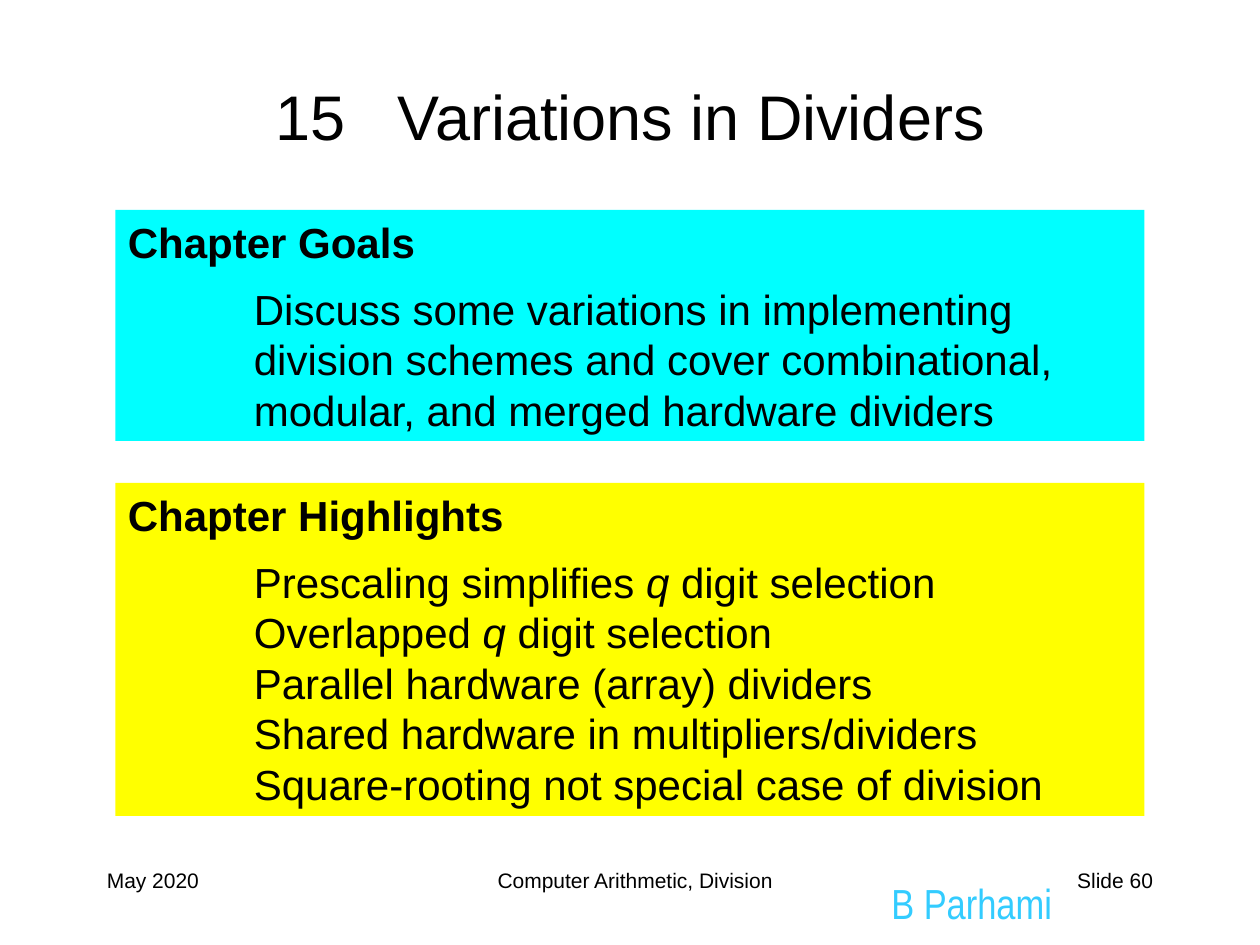
import pptx
import pptx.util
import pptx.dml.color
import pptx.enum.shapes
import pptx.enum.text

Pt = pptx.util.Pt
ALIGN = pptx.enum.text.PP_ALIGN
ANCHOR = pptx.enum.text.MSO_ANCHOR
INK = {"text": "000000", "name": "33CCFF", "goals": "00FFFF", "points": "FFFF00"}

deck = pptx.Presentation()
deck.slide_width = pptx.util.Inches(10)
deck.slide_height = pptx.util.Inches(7.5)
slide = deck.slides.add_slide(deck.slide_layouts[6])
UNIT = deck.slide_width // 120  # the grid has 120 columns and 90 rows


def color(key):
    return pptx.dml.color.RGBColor.from_string(INK[key])


def write(para, text, size=24, font="Arial", ink="text", bold=False,
          align=ALIGN.LEFT, indent=0, before=0):
    """Fill a paragraph; every second part between asterisks is italic."""
    para.alignment = align
    para.line_spacing = Pt(1.2 * size)
    para.space_before = Pt(before)
    if indent:
        para._p.get_or_add_pPr().set("marL", str(indent * UNIT))
    para.font.size = Pt(size)
    for i, part in enumerate(text.split("*")):
        run = para.add_run()
        run.text = part
        run.font.size = Pt(size)
        run.font.name = font
        run.font.bold = bold
        run.font.italic = i % 2 == 1
        run.font.color.rgb = color(ink)


labels = [
    ("B Parhami", (83.7, 83, 20, 5), dict(font="Arial Narrow", ink="name")),
    ("May 2020", (9, 82, 25, 6), dict(size=12)),
    ("Computer Arithmetic, Division", (29, 82, 63, 6),
     dict(size=12, align=ALIGN.CENTER)),
    ("Slide 60", (86, 82, 25, 6), dict(size=12, align=ALIGN.RIGHT)),
]
for text, cells, style in labels:
    box = slide.shapes.add_textbox(*(int(n * UNIT) for n in cells))
    frame = box.text_frame
    frame.word_wrap = True
    write(frame.paragraphs[0], text, **style)

title = slide.shapes.add_textbox(5 * UNIT, 5 * UNIT, 110 * UNIT, 12 * UNIT)
frame = title.text_frame
frame.word_wrap = True
frame.vertical_anchor = ANCHOR.MIDDLE
head = frame.paragraphs[0]
for part in ("15", " ", "Variations in Dividers"):
    write(head, part, size=36, align=ALIGN.CENTER)
# one wide space sets the number apart from the title
head.runs[1].font._element.set("spc", "2000")

panels = [
    ("Chapter Goals", "goals", 20, 22, [
        "Discuss some variations in implementing division schemes "
        "and cover combinational, modular, and merged hardware dividers",
    ]),
    ("Chapter Highlights", "points", 46, 31.7, [
        "Prescaling simplifies *q* digit selection",
        "Overlapped *q* digit selection",
        "Parallel hardware (array) dividers",
        "Shared hardware in multipliers/dividers",
        "Square-rooting not special case of division",
    ]),
]
for name, fill, top, high, lines in panels:
    panel = slide.shapes.add_shape(
        pptx.enum.shapes.MSO_SHAPE.RECTANGLE,
        11 * UNIT, top * UNIT, 98 * UNIT, int(high * UNIT))
    panel.shadow.inherit = False
    panel.fill.solid()
    panel.fill.fore_color.rgb = color(fill)
    panel.line.fill.background()
    frame = panel.text_frame
    frame.word_wrap = True
    frame.vertical_anchor = ANCHOR.TOP
    frame.margin_right = 6 * UNIT
    write(frame.paragraphs[0], name, bold=True)
    for i, line in enumerate(lines):
        write(frame.add_paragraph(), line, indent=12,
              before=0 if i else 9.6)

deck.save("out.pptx")
